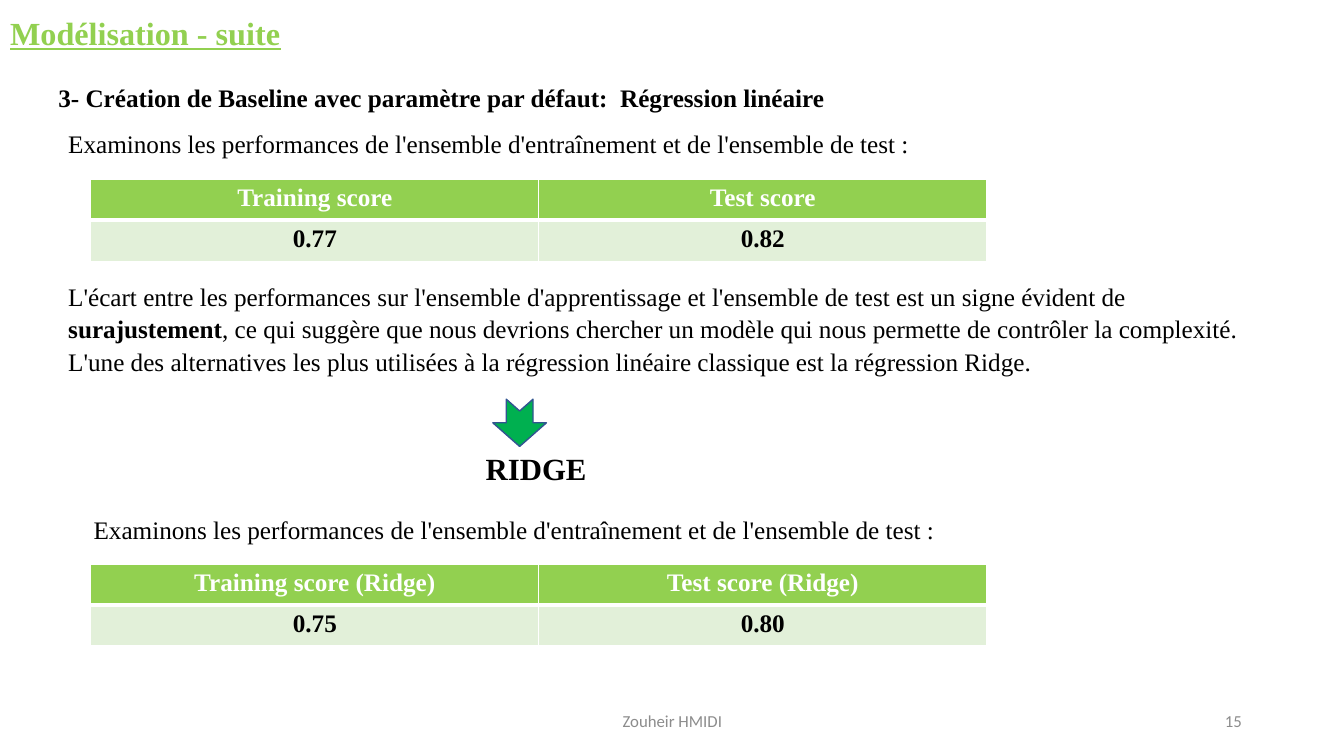
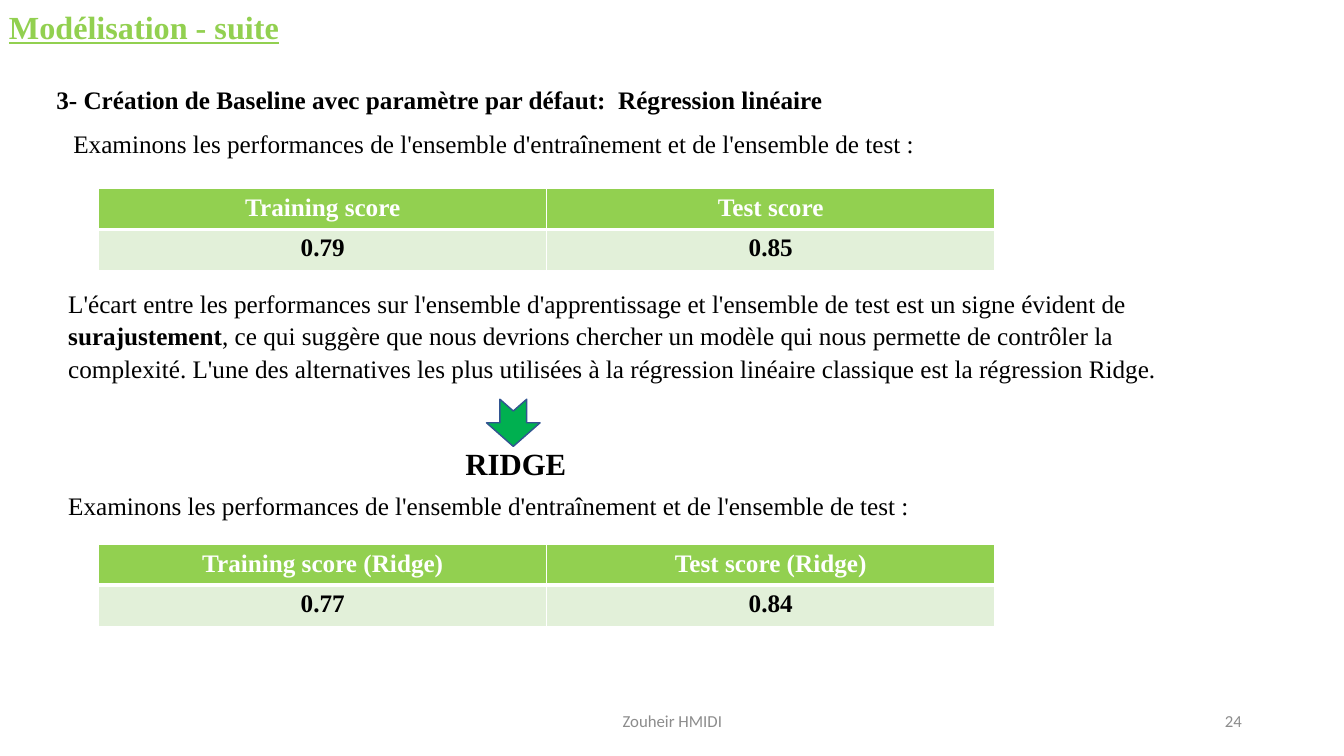
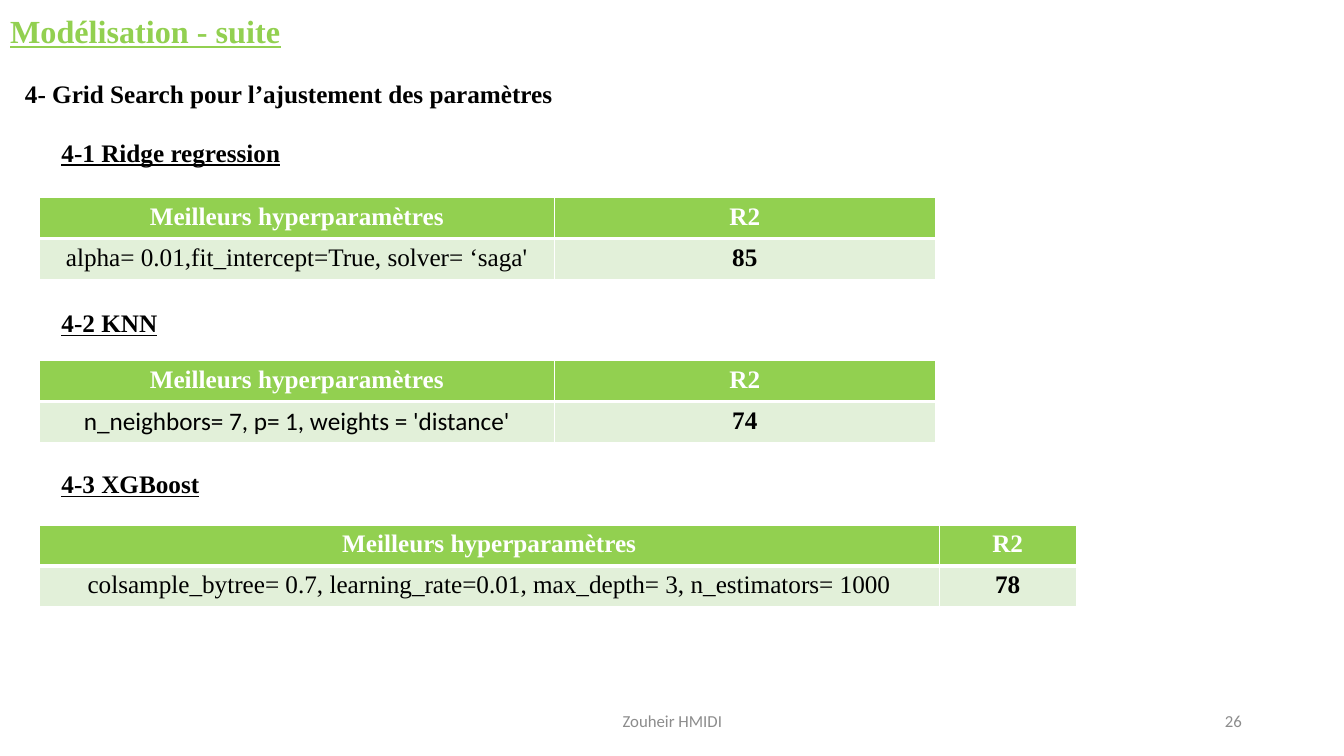
from lxml.etree import SubElement
from pptx import Presentation
from pptx.dml.color import RGBColor
from pptx.enum.shapes import MSO_SHAPE as Preset
from pptx.enum.text import MSO_ANCHOR as Anchor, MSO_AUTO_SIZE as AutoSize, PP_ALIGN as Align
from pptx.oxml.ns import qn
from pptx.util import Cm, Pt

COLORS = {
    "accent": "92D050", "pale": "E2F0D9", "arrow": "00B050", "arrow_line": "325491",
    "text": "000000", "white": "FFFFFF", "muted": "8C8C8C",
}
SERIF, SANS = "Times New Roman", "Calibri"
TITLE = "Modélisation - suite"
AUTHOR = "Zouheir HMIDI"
ROW_HEIGHT = 1.03

BASELINE = "3- Création de Baseline avec paramètre par défaut:  Régression linéaire"
EXAMINE = "Examinons les performances de l'ensemble d'entraînement et de l'ensemble de test :"
OVERFIT = [
    ("L'écart entre les performances sur l'ensemble d'apprentissage et l'ensemble de test est un signe évident de ", False),
    ("surajustement", True),
    (", ce qui suggère que nous devrions chercher un modèle qui nous permette de contrôler la complexité. "
     "L'une des alternatives les plus utilisées à la régression linéaire classique est la régression Ridge.", False),
]
SCORE_HEADS = ["Training score", "Test score"]
RIDGE_HEADS = [head + " (Ridge)" for head in SCORE_HEADS]
SCORE_WIDTHS = [11.29, 11.29]

SCORE_PAGES = [
    {
        "number": 15, "title": (0, 0.2), "heading": (1.22, 1.96), "table_left": 2.29,
        "intro": (1.47, 3.05), "scores": (4.52, ["0.77", "0.82"]),
        "overfit": (1.47, 6.91, 30.3), "arrow": (12.5, 9.98), "ridge": (11.99, 11.2),
        "ridge_intro": (2.11, 12.78), "ridge_scores": (14.22, ["0.75", "0.80"]),
    },
    {
        "number": 24, "title": (-0.03, 0.05), "heading": (1.17, 2.01), "table_left": 2.49,
        "intro": (1.6, 3.05), "scores": (4.75, ["0.79", "0.85"]),
        "overfit": (1.47, 7.09, 28.88), "arrow": (12.34, 9.98), "ridge": (11.48, 11.07),
        "ridge_intro": (1.47, 12.17), "ridge_scores": (13.72, ["0.77", "0.84"]),
    },
]

GRID_HEADING = "4- Grid Search pour l’ajustement des paramètres"
GRID_HEADS = ["Meilleurs hyperparamètres", "R2"]
GRID_SEARCHES = [
    ("4-1 Ridge regression", 3.33, 4.98, [12.98, 9.6], SERIF,
     ["alpha= 0.01,fit_intercept=True, solver= ‘saga'", "85"]),
    ("4-2 KNN", 7.62, 9.09, [12.98, 9.6], SANS,
     ["n_neighbors= 7, p= 1, weights = 'distance'", "74"]),
    ("4-3 XGBoost", 11.68, 13.23, [22.68, 3.45], SERIF,
     ["colsample_bytree= 0.7, learning_rate=0.01, max_depth= 3, n_estimators= 1000", "78"]),
]


def rgb(name):
    return RGBColor.from_string(COLORS[name])


def style(para, size=18, color="text", bold=False, underline=False, font=SERIF, align=Align.LEFT):
    para.alignment = align
    para.font.name = font
    para.font.size = Pt(size)
    para.font.bold = bold
    para.font.underline = underline
    para.font.color.rgb = rgb(color)


def add_text(page, place, extent, spans, anchor=Anchor.TOP, body=False, **look):
    box = page.shapes.add_textbox(*map(Cm, place + extent))
    frame = box.text_frame
    frame.word_wrap = True
    frame.vertical_anchor = anchor
    para = frame.paragraphs[0]
    style(para, **look)
    if body:
        para.line_spacing = 1.07
        para.space_after = Pt(8)
    if isinstance(spans, str):
        spans = [(spans, None)]
    for text, bold in spans:
        span = para.add_run()
        span.text = text
        span.font.bold = bold


def add_borders(cell, thick_side):
    props = cell._tc.get_or_add_tcPr()
    for side in ("lnL", "lnR", "lnT", "lnB"):
        line = SubElement(props, qn("a:" + side), w=str(Pt(3 if side == thick_side else 1)))
        fill = SubElement(line, qn("a:solidFill"))
        SubElement(fill, qn("a:srgbClr"), val=COLORS["white"])


def add_score_table(page, left, top, widths, heads, values, first_font=SERIF, first_bold=True):
    rows = [heads, values]
    extent = (sum(widths), ROW_HEIGHT * len(rows))
    table = page.shapes.add_table(len(rows), len(widths), *map(Cm, (left, top) + extent)).table
    table.horz_banding = False
    for column, width in zip(table.columns, widths):
        column.width = Cm(width)
    for row_index, texts in enumerate(rows):
        header = row_index == 0
        for column_index, text in enumerate(texts):
            cell = table.cell(row_index, column_index)
            add_borders(cell, "lnB" if header else "lnT")
            cell.fill.solid()
            cell.fill.fore_color.rgb = rgb("accent" if header else "pale")
            cell.text = text
            first_value = not header and column_index == 0
            style(cell.text_frame.paragraphs[0], align=Align.CENTER,
                  color="white" if header else "text",
                  bold=first_bold if first_value else True,
                  font=first_font if first_value else SERIF)


def add_arrow(page, place):
    arrow = page.shapes.add_shape(Preset.NOTCHED_RIGHT_ARROW, *map(Cm, place + (1.19, 1.35)))
    arrow.rotation = 90
    arrow.shadow.inherit = False
    arrow.fill.solid()
    arrow.fill.fore_color.rgb = rgb("arrow")
    arrow.line.color.rgb = rgb("arrow_line")
    arrow.line.width = Pt(1)


def add_page(deck, number, title_place):
    page = deck.slides.add_slide(deck.slide_layouts[5])
    title = page.shapes.title
    title.left, title.top, title.width, title.height = map(Cm, title_place + (16.94, 1.24))
    title.text = TITLE
    title.text_frame.vertical_anchor = Anchor.TOP
    title.text_frame.auto_size = AutoSize.NONE
    style(title.text_frame.paragraphs[0], size=23, color="accent", bold=True, underline=True)
    for text, left, width, align in ((AUTHOR, 11.23, 11.43, Align.CENTER),
                                     (str(number), 23.93, 7.62, Align.RIGHT)):
        add_text(page, (left, 17.65), (width, 1.02), text, anchor=Anchor.MIDDLE,
                 size=12, color="muted", font=SANS, align=align)
    return page


def add_score_page(deck, data):
    page = add_page(deck, data["number"], data["title"])
    add_text(page, data["heading"], (21.11, 1.02), BASELINE, bold=True)
    for intro, scores, heads in (("intro", "scores", SCORE_HEADS),
                                 ("ridge_intro", "ridge_scores", RIDGE_HEADS)):
        add_text(page, data[intro], (22.58, 1.04), EXAMINE, body=True)
        top, values = data[scores]
        add_score_table(page, data["table_left"], top, SCORE_WIDTHS, heads, values)
    left, top, width = data["overfit"]
    add_text(page, (left, top), (width, 2.69), OVERFIT, body=True)
    add_arrow(page, data["arrow"])
    add_text(page, data["ridge"], (3.2, 1.19), "RIDGE", size=22, bold=True)


def add_grid_page(deck):
    page = add_page(deck, 26, (0, 0.15))
    add_text(page, (0.38, 1.85), (21.34, 1.02), GRID_HEADING, bold=True)
    for name, name_top, table_top, widths, font, values in GRID_SEARCHES:
        add_text(page, (1.3, name_top), (16.94, 1.02), name, bold=True, underline=True)
        add_score_table(page, 0.99, table_top, widths, GRID_HEADS, values, font, False)


def main():
    deck = Presentation()
    deck.slide_width, deck.slide_height = Cm(33.87), Cm(19.05)
    for data in SCORE_PAGES:
        add_score_page(deck, data)
    add_grid_page(deck)
    deck.save("out.pptx")


if __name__ == "__main__":
    main()
